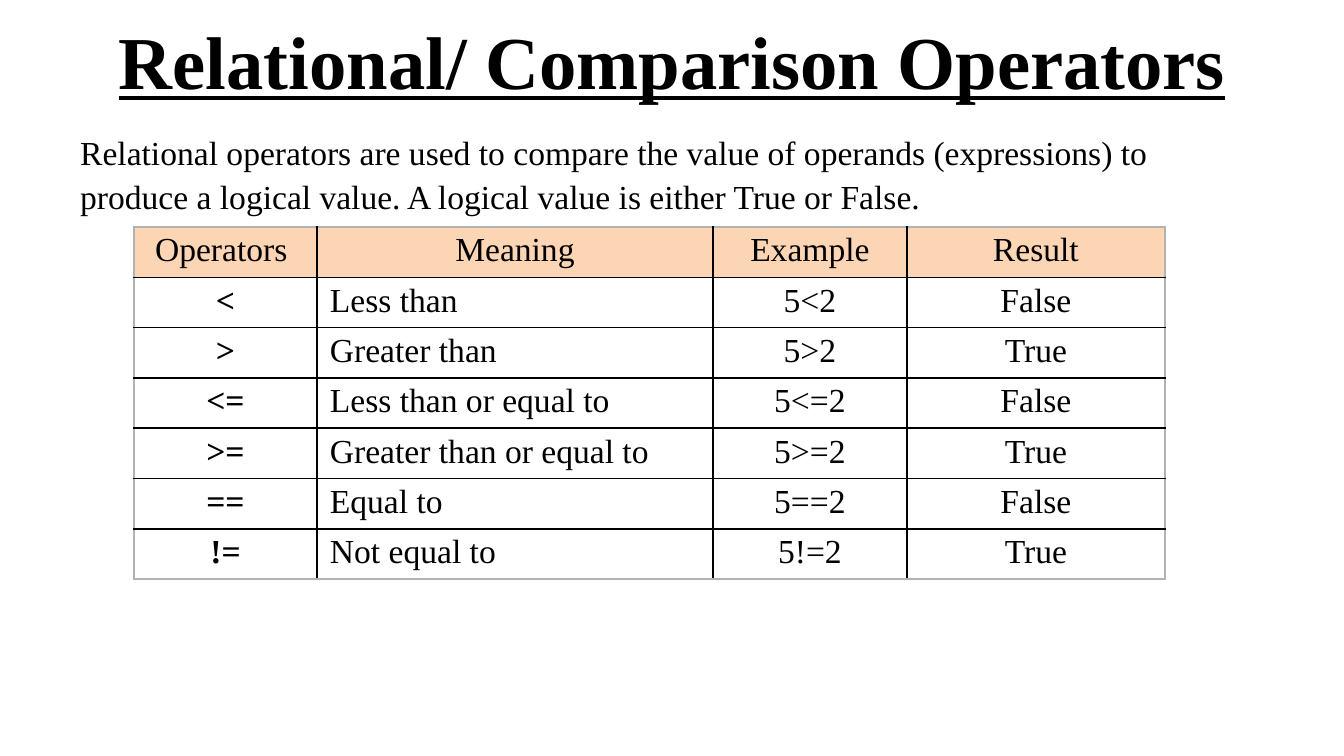
from lxml import etree
from pptx import Presentation
from pptx import util as u
from pptx.dml.color import RGBColor
from pptx.enum import text
from pptx.oxml.ns import qn

PX = 6804  # EMU per px
BLACK, GREY, PEACH = "000000", "B2B2B2", "FCD5B5"
CENTER, LEFT = text.PP_ALIGN.CENTER, text.PP_ALIGN.LEFT

COLUMN_WIDTHS = [183, 396, 194, 258]
ROW_HEIGHT = 47
ROWS = [
    ("Operators ", "Meaning", "Example", "Result"),
    ("<", "Less than", "5<2", "False"),
    (">", "Greater than", "5>2", "True"),
    ("<=", "Less than or equal to", "5<=2", "False"),
    (">=", "Greater than or equal to", "5>=2", "True"),
    ("==", "Equal to", "5==2", "False"),
    ("!=", "Not equal to", "5!=2", "True"),
]


def px(*lengths):
    return [u.Emu(length * PX) for length in lengths]


def color(value):
    return RGBColor.from_string(value)


def write(frame, content, alignment=LEFT, line_spacing=None, **font_values):
    paragraph = frame.paragraphs[0]
    paragraph.alignment = alignment
    paragraph.line_spacing = line_spacing
    run = paragraph.add_run()
    run.text = content
    values = {"name": "Times New Roman", "size": u.Pt(18), "bold": False}
    for name, value in (values | font_values).items():
        setattr(run.font, name, value)
    run.font.color.rgb = color(BLACK)


def add_text(slide, box, content, anchor, **format_values):
    frame = slide.shapes.add_textbox(*px(*box)).text_frame
    frame.word_wrap = True
    frame.vertical_anchor = anchor
    write(frame, content, **format_values)


def set_borders(cell, border_colors):
    properties = cell._tc.get_or_add_tcPr()
    # Border lines come before the fill in the cell properties
    for index, (side, value) in enumerate(border_colors.items()):
        line = etree.Element(qn(f"a:ln{side}"), w=str(u.Pt(1)))
        fill = etree.SubElement(line, qn("a:solidFill"))
        etree.SubElement(fill, qn("a:srgbClr"), val=value)
        properties.insert(index, line)


def add_operator_table(slide, left, top):
    row_count, column_count = len(ROWS), len(COLUMN_WIDTHS)
    size = sum(COLUMN_WIDTHS), ROW_HEIGHT * row_count
    table = slide.shapes.add_table(
        row_count, column_count, *px(left, top, *size)).table
    table.first_row = table.horz_banding = False
    for column, width in zip(table.columns, px(*COLUMN_WIDTHS)):
        column.width = width
    margin_x, margin_y = px(13, 5)
    margins = {"margin_left": margin_x, "margin_right": margin_x,
               "margin_top": margin_y, "margin_bottom": margin_y}

    for r, row in enumerate(ROWS):
        table.rows[r].height = px(ROW_HEIGHT)[0]
        for c, content in enumerate(row):
            cell = table.cell(r, c)
            for name, value in margins.items():
                setattr(cell, name, value)
            if r == 0:
                cell.fill.solid()
                cell.fill.fore_color.rgb = color(PEACH)
            else:
                cell.fill.background()
            # Grey frame around black inner lines
            outer = {"L": c == 0, "R": c == column_count - 1,
                     "T": r == 0, "B": r == row_count - 1}
            set_borders(cell, {side: GREY if edge else BLACK
                               for side, edge in outer.items()})
            write(cell.text_frame, content,
                  alignment=LEFT if r and c == 1 else CENTER,
                  bold=r > 0 and c == 0)


def main():
    presentation = Presentation()
    presentation.slide_width, presentation.slide_height = px(1344, 756)
    slide = presentation.slides.add_slide(presentation.slide_layouts[6])

    # Introduction
    add_text(slide, (67, 121, 1206, 124),
             "Relational operators are used to compare the value of operands "
             "(expressions) to produce a logical value. A logical value is "
             "either True or False.",
             text.MSO_ANCHOR.TOP, line_spacing=1.1)

    # Operators with examples
    add_operator_table(slide, 134, 227)

    # Title
    add_text(slide, (67, -3, 1210, 126), "Relational/ Comparison Operators",
             text.MSO_ANCHOR.MIDDLE, alignment=CENTER,
             size=u.Pt(40), bold=True, underline=True)

    presentation.save("out.pptx")


if __name__ == "__main__":
    main()
